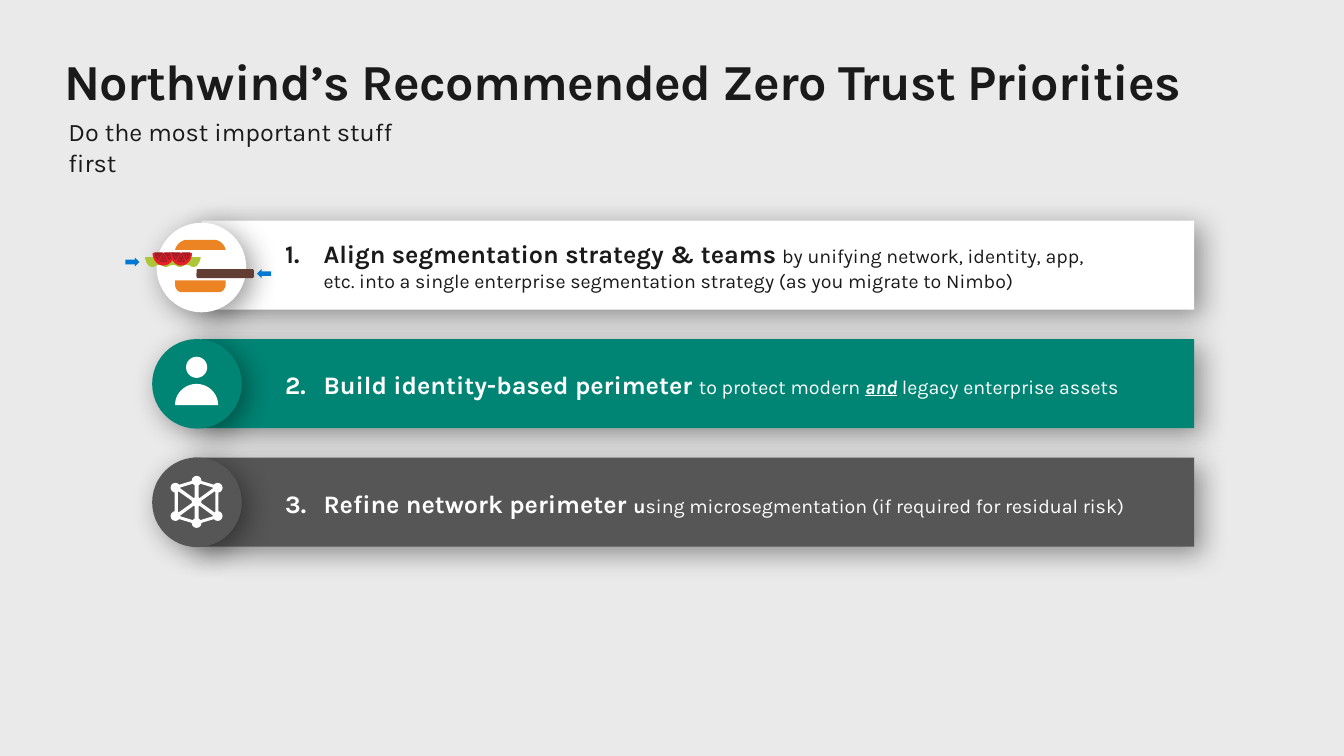
from dataclasses import dataclass
from lxml import etree
from pptx import Presentation
from pptx import util as u
from pptx.dml import color as dml
from pptx.enum import shapes, text
from pptx.oxml import ns
from pptx.shapes import autoshape as auto

Pt = u.Pt
Kind = shapes.MSO_SHAPE
Step = tuple[float, ...]  # 2 numbers: a corner; 6 numbers: a Bezier curve
Path = list[Step]

FONT = "Karla"
HUES = {
    "page": "EAEAEA", "ink": "1A1A1A", "white": "FFFFFF", "teal": "008575",
    "gray": "565656", "patty": "613E31", "leaf": "ACC637", "red": "E71E27",
    "pulp": "A11D25", "bun": "ED8423", "blue": "0078D4", "black": "000000",
}


@dataclass
class Span:
    words: str
    size: float = 14
    bold: bool = False
    slant: bool = False  # italic
    under: bool = False


@dataclass
class Row:
    left: float
    hue: str
    ink: str
    spans: list[Span]
    top: float  # of the text
    width: float
    high: float
    disc: tuple[float, float]


ROWS = [
    Row(144, "white", "ink", [
        Span("Align segmentation strategy & teams", 18, True),
        Span(" ", 16, True),
        Span("by unifying network, identity, app, etc. into a single enterprise "
             "segmentation strategy (as you migrate to Nimbo)"),
    ], 170.6, 593.3, 38.9, (111.9, 159.1)),
    Row(144, "teal", "white", [
        Span("Build identity-based perimeter ", 18, True),
        Span("to protect modern "),
        Span("and", 14, True, True, True),
        Span(" ", 14, True, True),
        Span("legacy enterprise assets"),
    ], 263.5, 626.4, 21.6, (108.7, 242.2)),
    Row(138.2, "gray", "white", [
        Span("Refine network perimeter ", 18, True),
        Span("u", 14, True),
        Span("sing microsegmentation (if required for residual risk)"),
    ], 348.5, 626.4, 21.6, (108.7, 326.8)),
]
EDGE, TOP, PITCH, HIGH = 853, 157.7, 84.6, 63.6

deck = Presentation()
deck.slide_width, deck.slide_height = Pt(960), Pt(540)
page = deck.slides.add_slide(deck.slide_layouts[6])


def tint(name: str) -> dml.RGBColor:
    return dml.RGBColor.from_string(HUES[name])


def paint(shape: auto.Shape, hue: str) -> auto.Shape:
    """Give a plain fill with no line and no shadow."""
    shape.shadow.inherit = False
    shape.fill.solid()
    shape.fill.fore_color.rgb = tint(hue)
    shape.line.fill.background()
    return shape


def form(kind: Kind, x: float, y: float, w: float, h: float, hue: str) -> auto.Shape:
    return paint(page.shapes.add_shape(kind, Pt(x), Pt(y), Pt(w), Pt(h)), hue)


def shade(shape: auto.Shape) -> None:
    """Cast a soft shadow to the lower right."""
    glow = shape._element.spPr.find(ns.qn("a:effectLst"))
    cast = etree.SubElement(glow, ns.qn("a:outerShdw"), blurRad=str(Pt(20)),
                            dist=str(Pt(6)), dir="2700000", algn="tl", rotWithShape="0")
    base = etree.SubElement(cast, ns.qn("a:srgbClr"), val=HUES["black"])
    etree.SubElement(base, ns.qn("a:alpha"), val="40000")


def bend(path: Path) -> Path:
    """Turn each curve of a path into short straight steps."""
    pts: Path = []
    for step in path:
        if len(step) == 2:
            pts.append(step)
            continue
        knots = [pts[-1], step[:2], step[2:4], step[4:]]
        for t in (n / 10 for n in range(1, 11)):
            parts = ((1 - t) ** 3, 3 * t * (1 - t) ** 2, 3 * t * t * (1 - t), t ** 3)
            pts.append(tuple(sum(k * p[i] for k, p in zip(parts, knots)) for i in (0, 1)))
    return pts


def trace(paths: list[Path], hue: str, x: float = 0, y: float = 0, flip: int = 1) -> None:
    """Fill closed paths around (x, y); inner paths are holes."""
    pen = None
    for path in paths:
        pts = [(Pt(x + flip * a), Pt(y + b)) for a, b in bend(path)]
        if pen is None:
            pen = page.shapes.build_freeform(*pts[0])
        else:
            pen.move_to(*pts[0])
        pen.add_line_segments(pts[1:], close=True)
    paint(pen.convert_to_shape(), hue)


def dome(x: float, y: float, rx: float, ry: float, hue: str) -> None:
    """Draw half an ellipse on a flat side; a negative ry hangs it down."""
    a, b = 0.55 * rx, 0.55 * ry
    trace([[(-rx, 0), (-rx, -b, -a, -ry, 0, -ry), (a, -ry, rx, -b, rx, 0)]], hue, x, y)


def write(x: float, y: float, w: float, h: float, spans: list[Span], ink: str,
          pads: tuple[float, float], num: int = 0) -> list:
    """Add a text box with left and top padding, and a list number if given."""
    frame = page.shapes.add_textbox(Pt(x), Pt(y), Pt(w), Pt(h)).text_frame
    frame.word_wrap = True
    frame.auto_size = text.MSO_AUTO_SIZE.NONE
    frame.margin_left, frame.margin_top = Pt(pads[0]), Pt(pads[1])
    frame.margin_right = frame.margin_bottom = 0
    para = frame.paragraphs[0]
    if num:
        props = para._p.get_or_add_pPr()
        props.set("marL", str(Pt(27.4)))
        props.set("indent", str(-Pt(27.4)))
        etree.SubElement(props, ns.qn("a:buAutoNum"), type="arabicPeriod", startAt=str(num))
    for span in spans:
        run = para.add_run()
        run.text = span.words
        font = run.font
        font.name, font.size, font.bold = FONT, Pt(span.size), span.bold
        font.italic, font.underline = span.slant, span.under
        font.color.rgb = tint(ink)
    return list(para.runs)


def mesh(x: float, y: float) -> None:
    """Draw the network icon around its hub."""
    half = [(15.6, -10), (15, -11.5), (0, -16), (-15, -11.5), (-15.6, -10)]
    rim = half + [(-a, -b) for a, b in half]
    gaps = [[(i * 1.4, j * 2.2), (i * 12.2, j * 10.1), (i * 1.4, j * 13.4)]
            for i in (1, -1) for j in (1, -1)]
    gaps += [[(i * 2.2, 0), (i * 13.4, 7.9), (i * 13.4, -7.9)] for i in (1, -1)]
    trace([rim, *gaps], "white", x, y)
    nodes = [(0, -15.1), (0, 0), (0, 15.1)]
    nodes += [(i * 15.1, j * 10.1) for i in (1, -1) for j in (1, -1)]
    for a, b in nodes:
        form(Kind.OVAL, x + a - 3.5, y + b - 3.5, 7, 7, "white")


def seed(x: float, y: float) -> Path:
    return [(x, y - 1.1), (x + 0.6, y + 0.3), (x, y + 1.1), (x - 0.6, y + 0.3)]


def slice_up(x: float, y: float) -> None:
    """Draw a tomato slice hanging from (x, y)."""
    dome(x, y, 7.8, -9, "red")
    core = [(0, 0), (2.9, 5.9), (1.4, 6.6, -1.4, 6.6, -2.9, 5.9)]
    trace([core, seed(0, 2.5), seed(-1, 4.8), seed(1, 4.8)], "pulp", x, y)
    side = [(0.4, -0.4), (4, 5.2), (5.6, 3.8, 6.5, 1.8, 6.5, -0.4)]
    for flip in (1, -1):
        trace([side, seed(3.9, 2.4)], "pulp", x, y, flip)


def burger() -> None:
    patty = form(Kind.ROUNDED_RECTANGLE, 140.4, 192.2, 41, 6.5, "patty")
    patty.adjustments[0] = 0.2
    leaf: Path = [(143.3, 183.6), (143.3, 187.2, 140.4, 190.1, 140.4, 190.1)]
    for n in range(4):
        x = 140.4 - 9.8 * n
        if n:
            leaf.append((x + 4.2, 189, x + 1.4, 189, x, 190.1))
        leaf.append((x - 1.4, 190.9, x - 2.9, 190.9, x - 4.3, 190.1))
    leaf.append((106.6, 190.1, 103.7, 187.9, 103.7, 183.6))
    trace([leaf], "leaf")
    for x in (116.8, 129.4):
        slice_up(x, 180.7)
    trace([[(125, 200.2), (125, 203), (125, 206, 127, 208.7, 130, 208.7), (156.4, 208.7),
            (159, 208.7, 161.2, 206, 161.2, 203), (161.2, 200.2)]], "bun")
    trace([[(125, 178.5), (126.2, 174.3, 129.8, 171.3, 134, 171.3), (152.6, 171.3),
            (156.8, 171.3, 160.2, 174.3, 161.2, 178.5)]], "bun")
    form(Kind.RIGHT_ARROW, 89.6, 183.9, 10, 6.5, "blue")
    form(Kind.RIGHT_ARROW, 183.6, 192.2, 10, 6.5, "blue").rotation = 180


def person() -> None:
    dome(140.4, 289.3, 15.4, 15.1, "white")
    form(Kind.OVAL, 132.9, 254.8, 15.1, 15.1, "white")


def main() -> None:
    page.background.fill.solid()
    page.background.fill.fore_color.rgb = tint("page")
    title = write(46.1, 36, 867.6, 43.9,
                  [Span("Northwind’s Recommended Zero Trust Priorities", 36, True)],
                  "ink", (0, 0))
    title[0]._r.get_or_add_rPr().set("spc", "-50")
    write(41.8, 79.9, 267, 50, [Span("Do the most important stuff first", 18)],
          "ink", (7.2, 3.6))
    for n, row in enumerate(ROWS):
        shade(form(Kind.RECTANGLE, row.left, TOP + n * PITCH, EDGE - row.left, HIGH, row.hue))
        write(196.6, row.top, row.width, row.high, row.spans, row.ink, (7.2, 0), n + 1)
    for row in ROWS:
        shade(form(Kind.OVAL, *row.disc, 64, 64, row.hue))
    mesh(140.4, 358.5)
    person()
    burger()
    deck.save("out.pptx")


if __name__ == "__main__":
    main()
